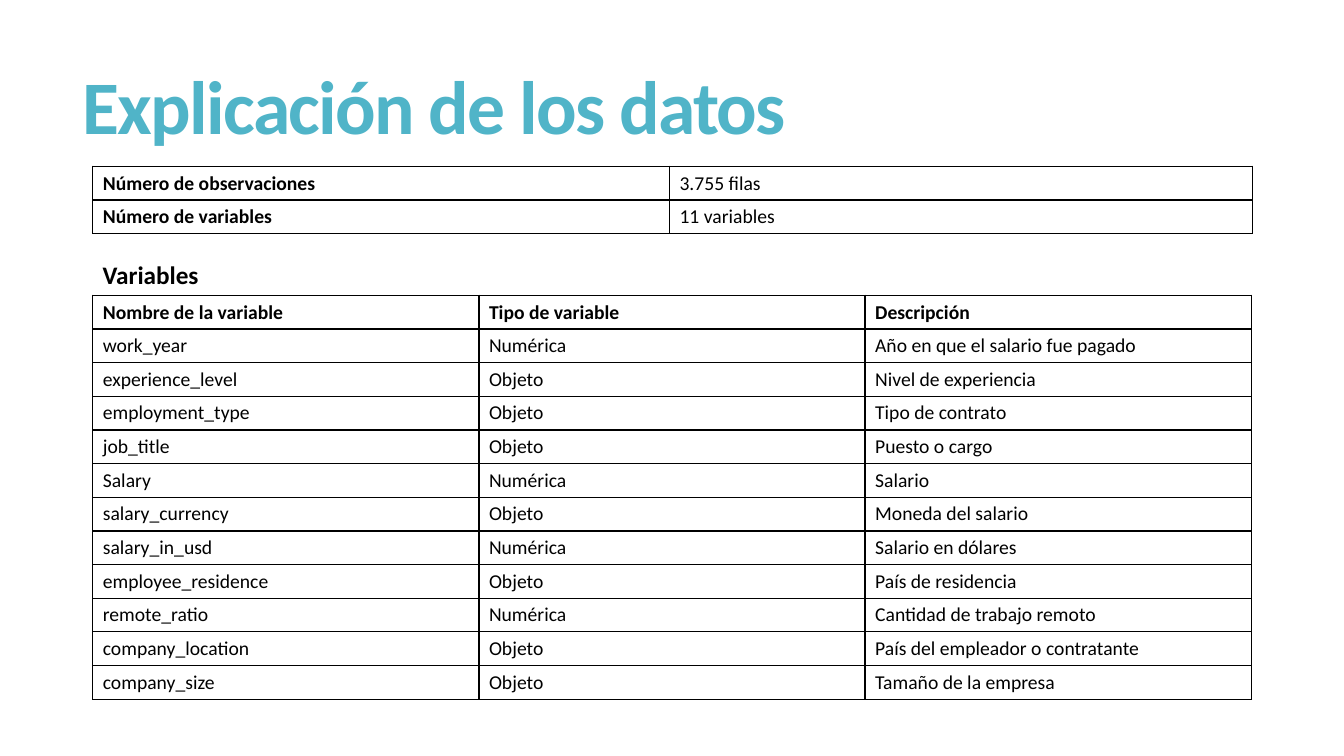
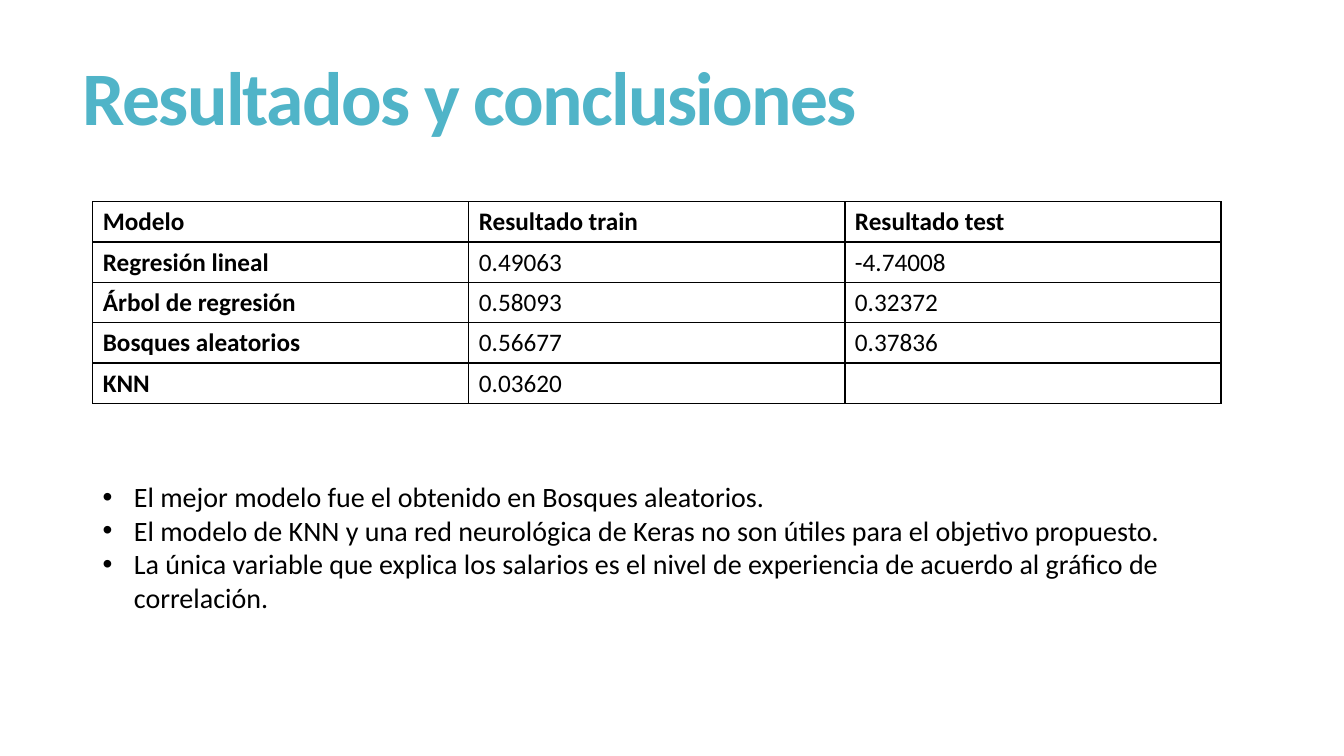
"""Build two slides on salary data: variables explained, then model results."""
from dataclasses import dataclass

from lxml.etree import SubElement
from pptx import Presentation
from pptx.dml.color import RGBColor as RGB
from pptx.enum.text import MSO_ANCHOR as Anchor, MSO_AUTO_SIZE as AutoSize
from pptx.oxml.ns import qn
from pptx.slide import Slide
from pptx.text.text import TextFrame, _Paragraph as Paragraph
from pptx.util import Inches, Length, Pt


@dataclass(frozen=True)
class Theme:
    font: str = "Calibri"
    accent: RGB = RGB(0x50, 0xB4, 0xC8)
    ink: RGB = RGB(0, 0, 0)
    title: Length = Pt(54)
    bullet: Length = Pt(20)
    heading: Length = Pt(18)
    small: Length = Pt(14)
    border: Length = Pt(1)
    left: Length = Inches(0.92)
    indent: Length = Inches(0.31)


@dataclass(frozen=True)
class Grid:
    rows: list[tuple[str, ...]]
    top: Length
    widths: list[Length]
    row_height: Length
    size: Length
    header_row: bool = False
    header_col: bool = False


THEME = Theme()

SUMMARY = Grid(
    rows=[
        ("Número de observaciones", "3.755 filas"),
        ("Número de variables", "11 variables"),
    ],
    top=Inches(1.65),
    widths=[Inches(5.72), Inches(5.78)],
    row_height=Inches(0.33),
    size=THEME.small,
    header_col=True,
)

VARIABLES = Grid(
    rows=[
        ("Nombre de la variable", "Tipo de variable", "Descripción"),
        ("work_year", "Numérica", "Año en que el salario fue pagado"),
        ("experience_level", "Objeto", "Nivel de experiencia"),
        ("employment_type", "Objeto", "Tipo de contrato"),
        ("job_title", "Objeto", "Puesto o cargo"),
        ("Salary", "Numérica", "Salario"),
        ("salary_currency", "Objeto", "Moneda del salario"),
        ("salary_in_usd", "Numérica", "Salario en dólares"),
        ("employee_residence", "Objeto", "País de residencia"),
        ("remote_ratio", "Numérica", "Cantidad de trabajo remoto"),
        ("company_location", "Objeto", "País del empleador o contratante"),
        ("company_size", "Objeto", "Tamaño de la empresa"),
    ],
    top=Inches(2.93),
    widths=[Inches(3.83)] * 3,
    row_height=Inches(0.33),
    size=THEME.small,
    header_row=True,
)

RESULTS = Grid(
    rows=[
        ("Modelo", "Resultado train", "Resultado test"),
        ("Regresión lineal", "0.49063", "-4.74008"),
        ("Árbol de regresión", "0.58093", "0.32372"),
        ("Bosques aleatorios", "0.56677", "0.37836"),
        ("KNN", "0.03620", ""),
    ],
    top=Inches(2),
    widths=[Inches(3.73)] * 3,
    row_height=Inches(0.4),
    size=THEME.heading,
    header_row=True,
    header_col=True,
)

CONCLUSIONS = [
    "El mejor modelo fue el obtenido en Bosques aleatorios.",
    "El modelo de KNN y una red neurológica de Keras no son útiles para el objetivo propuesto.",
    "La única variable que explica los salarios es el nivel de experiencia de acuerdo al gráfico "
    "de correlación.",
]


def style(tf: TextFrame, size: Length, bold: bool = False, color: RGB = THEME.ink) -> None:
    for p in tf.paragraphs:
        for r in p.runs:
            r.font.name = THEME.font
            r.font.size = size
            r.font.bold = bold
            r.font.color.rgb = color


def add_text(s: Slide, text: str, left: Length, top: Length, width: Length,
             height: Length, wrap: bool = True) -> TextFrame:
    tf = s.shapes.add_textbox(left, top, width, height).text_frame
    tf.word_wrap = wrap
    tf.text = text
    return tf


def add_title(s: Slide, text: str, height: Length) -> None:
    tf = add_text(s, text, Inches(0.72), Inches(0.55), Inches(11.78), height)
    tf.vertical_anchor = Anchor.MIDDLE
    style(tf, THEME.title, bold=True, color=THEME.accent)
    p = tf.paragraphs[0]
    p.line_spacing = 0.85
    p.runs[0].font._element.set("spc", "-120")


def add_borders(cell) -> None:
    tc_pr = cell._tc.get_or_add_tcPr()
    for side in "LRTB":
        line = SubElement(tc_pr, qn(f"a:ln{side}"), w=str(THEME.border))
        fill = SubElement(line, qn("a:solidFill"))
        SubElement(fill, qn("a:srgbClr"), val=str(THEME.ink))


def add_grid(s: Slide, grid: Grid) -> None:
    n_rows = len(grid.rows)
    table = s.shapes.add_table(n_rows, len(grid.widths), THEME.left, grid.top,
                               sum(grid.widths), grid.row_height * n_rows).table
    table.first_row = table.horz_banding = False
    for col, width in zip(table.columns, grid.widths):
        col.width = width
    for i, texts in enumerate(grid.rows):
        table.rows[i].height = grid.row_height
        for j, text in enumerate(texts):
            cell = table.cell(i, j)
            cell.text_frame.text = text
            bold = (grid.header_row and i == 0) or (grid.header_col and j == 0)
            style(cell.text_frame, grid.size, bold)
            add_borders(cell)
            cell.fill.background()


def add_bullet(p: Paragraph) -> None:
    p_pr = p._p.get_or_add_pPr()
    p_pr.set("marL", str(THEME.indent))
    p_pr.set("indent", str(-THEME.indent))
    SubElement(p_pr, qn("a:buFont"), typeface="Arial")
    SubElement(p_pr, qn("a:buChar"), char="•")


def build_data_slide(s: Slide) -> None:
    add_title(s, "Explicación de los datos", Inches(1.11))
    add_grid(s, SUMMARY)
    tf = add_text(s, "Variables", THEME.left, Inches(2.52), Inches(1.16), Inches(0.4), wrap=False)
    tf.auto_size = AutoSize.SHAPE_TO_FIT_TEXT
    style(tf, THEME.heading, bold=True)
    add_grid(s, VARIABLES)


def build_results_slide(s: Slide) -> None:
    add_title(s, "Resultados y conclusiones", Inches(0.93))
    add_grid(s, RESULTS)
    tf = add_text(s, "\n".join(CONCLUSIONS), THEME.left, Inches(4.71), Inches(10.84), Inches(1.78))
    tf.auto_size = AutoSize.SHAPE_TO_FIT_TEXT
    style(tf, THEME.bullet)
    for p in tf.paragraphs:
        add_bullet(p)


def main() -> None:
    prs = Presentation()
    prs.slide_width, prs.slide_height = Inches(13.33), Inches(7.5)
    for build in (build_data_slide, build_results_slide):
        build(prs.slides.add_slide(prs.slide_layouts[6]))
    prs.save("out.pptx")


if __name__ == "__main__":
    main()
